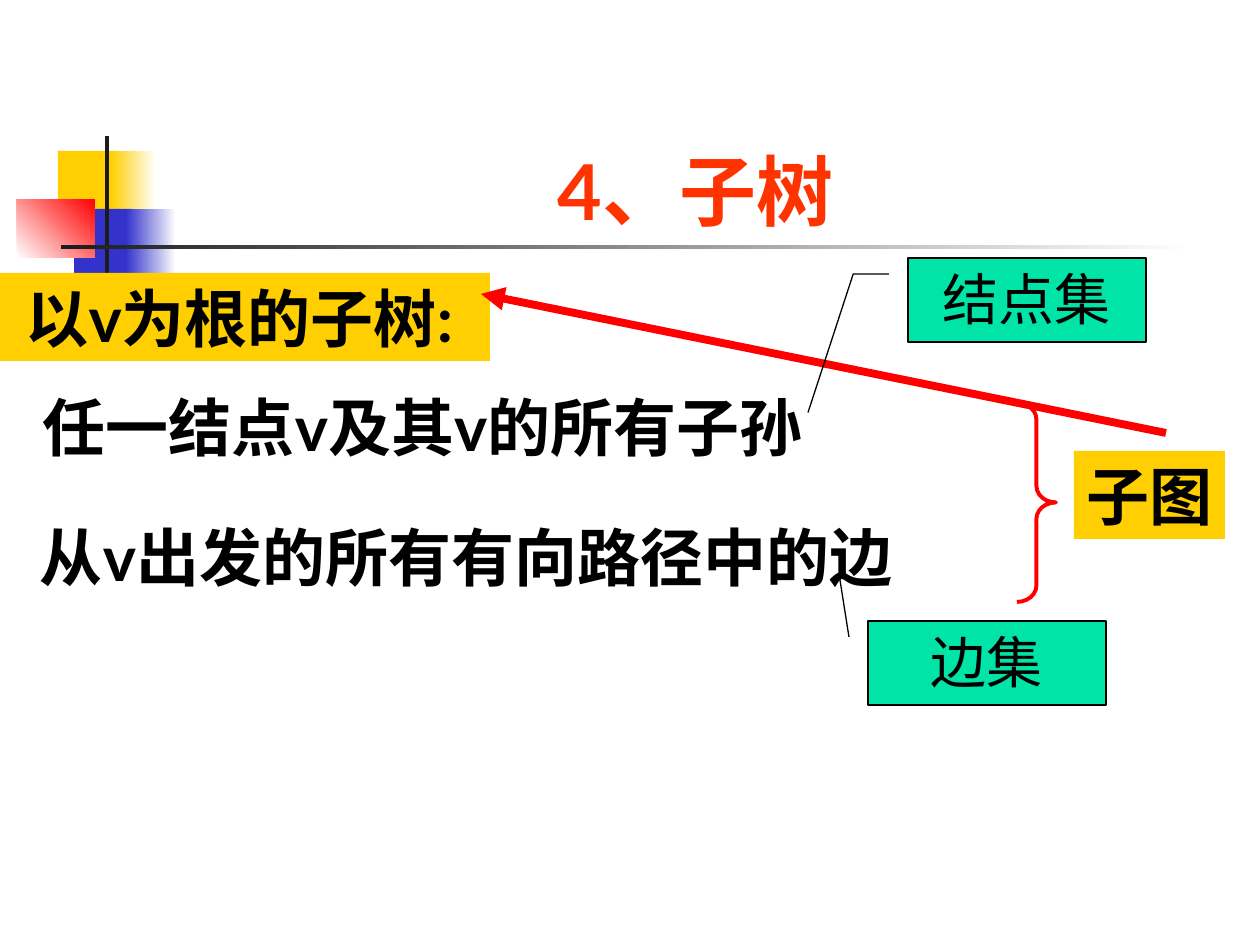
from lxml import etree
from pptx import Presentation, util as u
from pptx.dml.color import RGBColor
from pptx.enum import shapes, text
from pptx.oxml.ns import qn

PX_PER_INCH = 126
FONT = "Lato"
COLORS = {
    "gold": "FFCF01", "blue": "3333CC", "red": "FF0000", "dark": "1C1C1C",
    "white": "FFFFFF", "black": "000000", "title": "FF3300", "green": "00E4A8",
}

# (left, top, width, height), colours from start to end, gradient angle
ORNAMENTS = [
    ((58, 151, 60, 66), ["gold"], 0),
    ((111, 151, 45, 66), ["gold", "white"], 0),
    ((74, 209, 58, 66), ["blue"], 0),
    ((126, 209, 50, 66), ["blue", "white"], 0),
    ((17, 199, 78, 59), ["white", "red"], 45),
    ((105, 136, 4, 145), ["dark"], 0),
    ((61, 245, 1134, 4), ["dark", "white"], 0),
]
TITLE = ("4、子树", (159, 84, 1074, 158))
# text, box, fill
STATEMENTS = [
    ("以v为根的子树:", (-11, 273, 501, 88), "gold"),
    ("任一结点v及其v的所有子孙", (-3, 382, 851, 88), None),
    ("从v出发的所有有向路径中的边", (11, 512, 910, 88), None),
    ("子图", (1074, 451, 151, 88), "gold"),
]
BRACE = (1017, 403, 39, 199)
ARROW = (1166, 433, 481, 294)
# text, box, leader line as (y, x) fractions of the box
CALLOUTS = [
    ("结点集", (908, 258, 238, 84), (0.19, -0.08, 0.19, -0.23, 1.84, -0.42)),
    ("边集", (868, 621, 238, 84), (0.19, -0.08, 0.19, -0.08, -0.53, -0.12)),
]


def px(*lengths):
    return [u.Emu(round(n * 914400 / PX_PER_INCH)) for n in lengths]


def rgb(name):
    return RGBColor.from_string(COLORS[name])


def add_preset(slide, preset, box, fills=(), angle=0, line=None, width=0):
    """Add a shape with no, a solid or a two-colour fill."""
    shape = slide.shapes.add_shape(preset, *px(*box))
    shape.shadow.inherit = False
    if len(fills) == 2:
        shape.fill.gradient()
        shape.fill.gradient_angle = angle
        for stop, name in zip(shape.fill.gradient_stops, fills):
            stop.color.rgb = rgb(name)
    elif fills:
        shape.fill.solid()
        shape.fill.fore_color.rgb = rgb(fills[0])
    else:
        shape.fill.background()
    if line:
        shape.line.color.rgb = rgb(line)
        shape.line.width = u.Pt(width)
    else:
        shape.line.fill.background()
    return shape


def write(shape, words, size, color="black", bold=True,
          anchor=text.MSO_ANCHOR.TOP, wrap=True):
    frame = shape.text_frame
    frame.word_wrap = wrap
    frame.auto_size = (text.MSO_AUTO_SIZE.NONE if wrap
                       else text.MSO_AUTO_SIZE.SHAPE_TO_FIT_TEXT)
    frame.vertical_anchor = anchor
    paragraph = frame.paragraphs[0]
    paragraph.text = words
    paragraph.alignment = text.PP_ALIGN.CENTER
    font = paragraph.font
    font.name, font.size, font.bold = FONT, u.Pt(size), bold
    font.color.rgb = rgb(color)


def add_arrow(slide, ends):
    arrow = slide.shapes.add_connector(shapes.MSO_CONNECTOR.STRAIGHT, *px(*ends))
    arrow.line.color.rgb = rgb("red")
    arrow.line.width = u.Pt(4.5)
    etree.SubElement(arrow.line._get_or_add_ln(), qn("a:tailEnd"), type="triangle")
    etree.SubElement(arrow._element.spPr, qn("a:effectLst"))


def main():
    preset = shapes.MSO_SHAPE
    deck = Presentation()
    deck.slide_width, deck.slide_height = u.Inches(10), u.Inches(7.5)
    slide = deck.slides.add_slide(deck.slide_layouts[6])

    for box, fills, angle in ORNAMENTS:
        add_preset(slide, preset.RECTANGLE, box, fills, angle)

    words, box = TITLE
    write(slide.shapes.add_textbox(*px(*box)), words, 44, "title",
          anchor=text.MSO_ANCHOR.BOTTOM)

    for words, box, fill in STATEMENTS:
        if fill:
            statement = add_preset(slide, preset.RECTANGLE, box, [fill])
        else:
            statement = slide.shapes.add_textbox(*px(*box))
        write(statement, words, 36, wrap=False)

    brace = add_preset(slide, preset.RIGHT_BRACE, BRACE, line="red", width=2.25)
    brace.adjustments[0] = 0.42
    add_arrow(slide, ARROW)

    for words, box, leader in CALLOUTS:
        callout = add_preset(slide, preset.LINE_CALLOUT_2, box, ["green"],
                             line="black", width=0.75)
        for i, fraction in enumerate(leader):
            callout.adjustments[i] = fraction
        write(callout, words, 32, bold=False)

    deck.save("out.pptx")


if __name__ == "__main__":
    main()
